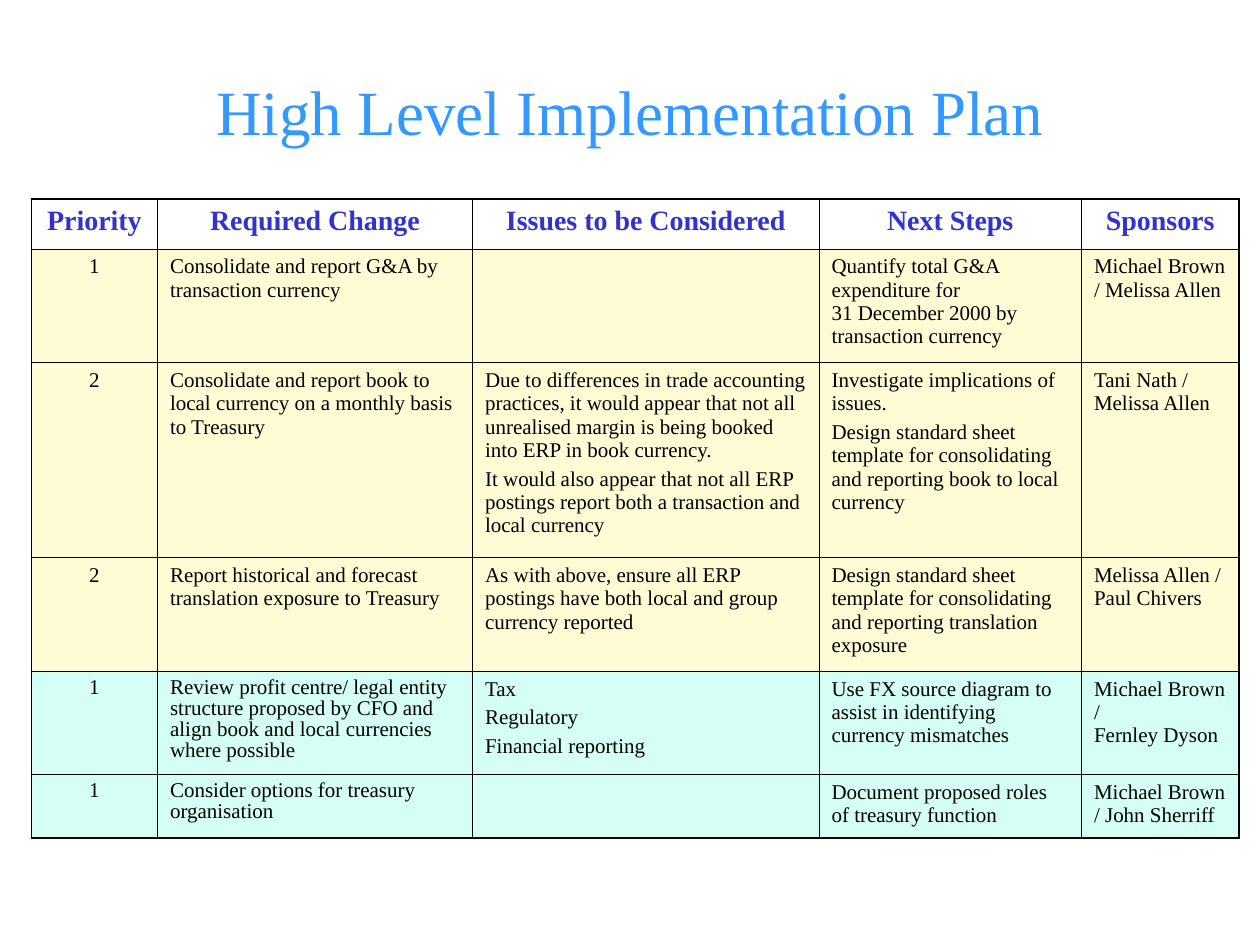
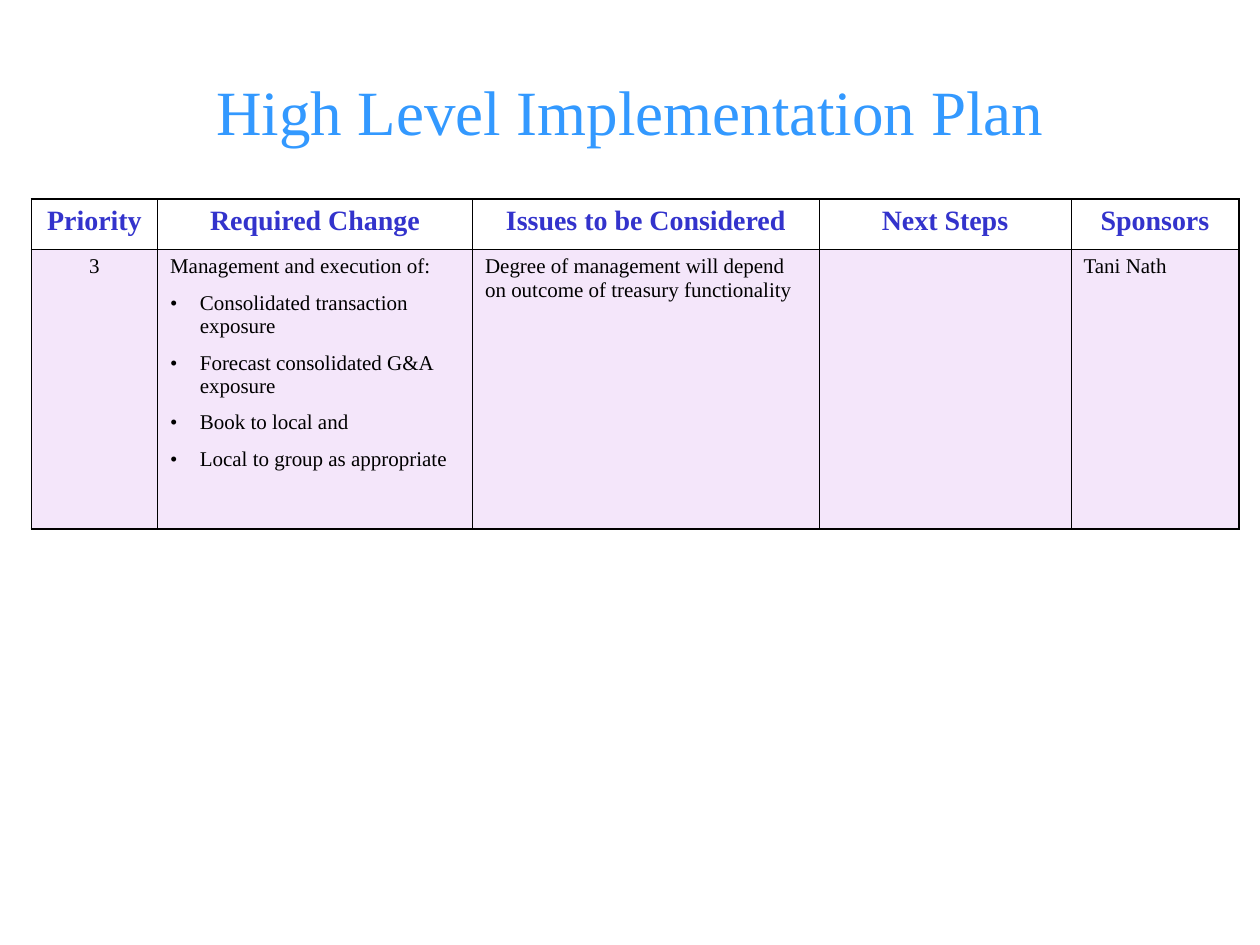
"""Build the two implementation plan slides, each a title above a table."""
from copy import deepcopy
from dataclasses import dataclass
from typing import Any

from lxml import etree
from pptx import Presentation
from pptx import util as u
from pptx.dml.color import RGBColor
from pptx.enum import text
from pptx.oxml import ns

FONT = "Times New Roman"
TITLE = "High Level Implementation Plan"
HEADINGS = ("Priority", "Required Change", "Issues to be Considered", "Next Steps", "Sponsors")
TITLE_BLUE = RGBColor(0x33, 0x99, 0xFF)
HEADING_BLUE = RGBColor(0x33, 0x33, 0xCC)
BLACK = RGBColor(0, 0, 0)
YELLOW = RGBColor(0xFF, 0xFB, 0xD5)
MINT = RGBColor(0xD5, 0xFF, 0xF4)
LILAC = RGBColor(0xF4, 0xE6, 0xFA)

TITLE_FORMAT = {"name": FONT, "size": u.Pt(36), "bold": False, "color": TITLE_BLUE}
HEADING_FORMAT = {"name": FONT, "size": u.Pt(16), "bold": True, "color": HEADING_BLUE}
BODY_FORMAT = {"name": FONT, "size": u.Pt(12), "bold": False, "color": BLACK}

OUTER_LINE, INNER_LINE = u.Pt(1.08), u.Pt(0.45)
TABLE_LEFT, TABLE_TOP = u.Pt(18), u.Pt(113.75)
HEADING_HEIGHT = 28.5
BULLET_INDENT = u.Pt(17)


@dataclass(frozen=True)
class Entry:
    """Hold the paragraphs of one cell, plain ones before bulleted ones."""

    lines: tuple[str, ...] = ()
    bullets: tuple[str, ...] = ()
    gap: float = 3


@dataclass(frozen=True)
class PlanRow:
    """Hold one row of the plan."""

    height: float
    fill: RGBColor
    priority: str
    change: Entry
    issues: Entry
    steps: Entry
    sponsors: str
    spacing: float = 1.0

    def entries(self) -> list[Entry]:
        """Return the cells from left to right."""
        return [Entry((self.priority,)), self.change, self.issues, self.steps, Entry((self.sponsors,))]


@dataclass(frozen=True)
class Plan:
    """Hold the column widths and rows of one slide."""

    widths: tuple[float, ...]
    rows: tuple[PlanRow, ...]


PLANS = (
    Plan((72, 180, 198, 150, 90), (
        PlanRow(
            65, YELLOW, "1",
            Entry(("Consolidate and report G&A by transaction currency",)),
            Entry(),
            Entry(("Quantify total G&A expenditure for \n31 December 2000 by transaction currency",)),
            "Michael Brown / Melissa Allen"),
        PlanRow(
            111.4, YELLOW, "2",
            Entry(("Consolidate and report book to local currency on a monthly basis to Treasury",)),
            Entry(("Due to differences in trade accounting practices, it would appear that not all "
                   "unrealised margin is being booked into ERP in book currency.",
                   "It would also appear that not all ERP postings report both a transaction and "
                   "local currency")),
            Entry(("Investigate implications of issues.",
                   "Design standard sheet template for consolidating and reporting book to local "
                   "currency")),
            "Tani Nath / Melissa Allen"),
        PlanRow(
            65, YELLOW, "2",
            Entry(("Report historical and forecast translation exposure to Treasury",)),
            Entry(("As with above, ensure all ERP postings have both local and group currency reported",)),
            Entry(("Design standard sheet template for consolidating and reporting translation exposure",)),
            "Melissa Allen / Paul Chivers"),
        PlanRow(
            59, MINT, "1",
            Entry(("Review profit centre/ legal entity structure proposed by CFO and align book and "
                   "local currencies where possible",)),
            Entry(("Tax", "Regulatory", "Financial reporting")),
            Entry(("Use FX source diagram to assist in identifying currency mismatches",)),
            "Michael Brown / \nFernley Dyson", 0.9),
        PlanRow(
            36.2, MINT, "1",
            Entry(("Consider options for treasury organisation",)),
            Entry(),
            Entry(("Document proposed roles of treasury function",)),
            "Michael Brown / John Sherriff", 0.9),
    )),
    Plan((72, 180, 198, 144, 96), (
        PlanRow(
            160, LILAC, "3",
            Entry(("Management and execution of:",),
                  ("Consolidated transaction exposure", "Forecast consolidated G&A exposure",
                   "Book to local and", "Local to group as appropriate"), 7.5),
            Entry(("Degree of management will depend on outcome of treasury functionality",)),
            Entry(),
            "Tani Nath"),
    )),
)


def format_para(para: Any, formats: dict[str, Any], centred: bool) -> None:
    """Apply font values and alignment to a paragraph and its line breaks."""
    para.alignment = text.PP_ALIGN.CENTER if centred else text.PP_ALIGN.LEFT
    for span in para.runs:
        for name, value in formats.items():
            if name == "color":
                span.font.color.rgb = value
            else:
                setattr(span.font, name, value)
    for line_break in para._p.findall(ns.qn("a:br")):
        line_break.insert(0, deepcopy(para.runs[0]._r.rPr))


def add_bullet(para: Any) -> None:
    """Give a paragraph a hanging black bullet."""
    properties = para._p.get_or_add_pPr()
    properties.set("marL", str(BULLET_INDENT))
    properties.set("indent", str(-BULLET_INDENT))
    colour = etree.SubElement(properties, ns.qn("a:buClr"))
    etree.SubElement(colour, ns.qn("a:srgbClr"), val=str(BLACK))
    etree.SubElement(properties, ns.qn("a:buFont"), typeface=FONT)
    etree.SubElement(properties, ns.qn("a:buChar"), char="•")


def fill_cell(cell: Any, entry: Entry, formats: dict[str, Any], centred: bool, spacing: float = 1.0) -> None:
    """Write an entry into a cell."""
    frame = cell.text_frame
    for index, line in enumerate(entry.lines + entry.bullets):
        para = frame.add_paragraph() if index else frame.paragraphs[0]
        para.text = line
        if index >= len(entry.lines):
            add_bullet(para)
        para.space_before = u.Pt(entry.gap if index else 0)
        para.line_spacing = spacing
        format_para(para, formats, centred)


def draw_borders(cell: Any, outer_sides: dict[str, bool]) -> None:
    """Draw the four sides of a cell, heavier along the table edge."""
    properties = cell._tc.get_or_add_tcPr()
    for side, outer in outer_sides.items():
        line = etree.SubElement(properties, ns.qn(f"a:ln{side}"), w=str(OUTER_LINE if outer else INNER_LINE))
        fill = etree.SubElement(line, ns.qn("a:solidFill"))
        etree.SubElement(fill, ns.qn("a:srgbClr"), val=str(BLACK))


def add_title(page: Any) -> None:
    """Place and format the slide title."""
    title = page.shapes.title
    title.left, title.top, title.width, title.height = map(u.Pt, (54, 18, 612, 90))
    title.text_frame.vertical_anchor = text.MSO_ANCHOR.MIDDLE
    title.text_frame.text = TITLE
    format_para(title.text_frame.paragraphs[0], TITLE_FORMAT, True)


def add_plan(page: Any, plan: Plan) -> None:
    """Draw the plan table."""
    heights = [HEADING_HEIGHT, *(row.height for row in plan.rows)]
    last_row, last_column = len(plan.rows), len(plan.widths) - 1
    table = page.shapes.add_table(
        len(heights), len(plan.widths), TABLE_LEFT, TABLE_TOP,
        u.Pt(sum(plan.widths)), u.Pt(sum(heights))).table
    table.first_row = table.horz_banding = False
    for column, width in zip(table.columns, plan.widths):
        column.width = u.Pt(width)
    for table_row, height in zip(table.rows, heights):
        table_row.height = u.Pt(height)
    for r in range(last_row + 1):
        for c in range(last_column + 1):
            cell = table.cell(r, c)
            draw_borders(cell, {"L": c == 0, "R": c == last_column, "T": r == 0, "B": r == last_row})
            if r == 0:
                cell.fill.background()
                fill_cell(cell, Entry((HEADINGS[c],)), HEADING_FORMAT, True)
                continue
            row = plan.rows[r - 1]
            cell.fill.solid()
            cell.fill.fore_color.rgb = row.fill
            fill_cell(cell, row.entries()[c], BODY_FORMAT, c == 0, row.spacing if c < 2 else 1.0)


def main() -> None:
    """Build and save the deck."""
    deck = Presentation()
    deck.slide_width, deck.slide_height = u.Pt(720), u.Pt(540)
    for plan in PLANS:
        page = deck.slides.add_slide(deck.slide_layouts[5])
        add_title(page)
        add_plan(page, plan)
    deck.save("out.pptx")


if __name__ == "__main__":
    main()
